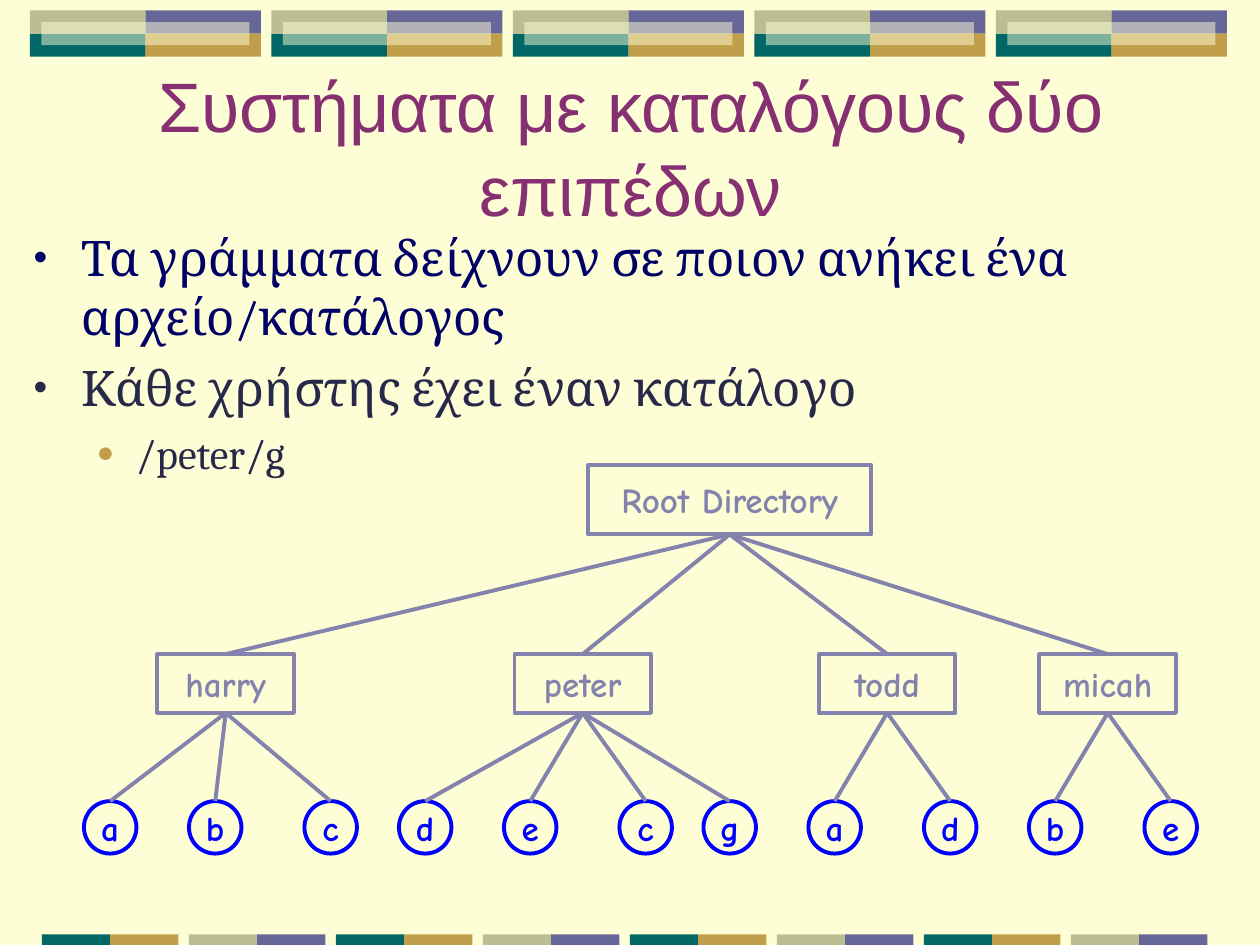
from dataclasses import dataclass

from lxml.etree import SubElement
from pptx import Presentation
from pptx.dml.color import RGBColor
from pptx.enum.shapes import MSO_CONNECTOR as Connector, MSO_SHAPE as Shape
from pptx.enum.text import MSO_ANCHOR as Anchor, MSO_AUTO_SIZE as AutoSize, PP_ALIGN as Align
from pptx.oxml.ns import qn
from pptx.util import Inches, Pt


@dataclass(frozen=True)
class Theme:
    """Colours, fonts and type sizes of the slide."""
    paper: str = "FEFED6"
    violet: str = "666699"
    gold: str = "C09E4A"
    teal: str = "006666"
    olive: str = "BABE90"
    title: str = "863072"
    navy: str = "000066"
    ink: str = "28294A"
    directory: str = "8383AD"
    file: str = "0000FF"
    title_font: str = "Arial"
    body_font: str = "Cambria"
    tree_font: str = "Comic Neue"
    title_size: int = 40
    body_size: int = 28
    detail_size: int = 24
    tree_size: int = 20
    stroke: float = 2.25


THEME = Theme()
COLUMNS_PER_INCH = 12
BULLETS = (
    dict(text="Τα γράμματα δείχνουν σε ποιον ανήκει ένα αρχείο/κατάλογος", level=0, before=0,
         size=THEME.body_size, color=THEME.navy, mark="•", mark_color=THEME.navy, scale=80),
    dict(text="Κάθε χρήστης έχει έναν κατάλογο", level=0, before=7,
         size=THEME.body_size, color=THEME.ink, mark="•", mark_color=THEME.ink, scale=80),
    dict(text="/peter/g", level=1, before=6,
         size=THEME.detail_size, color=THEME.ink, mark="●", mark_color=THEME.gold, scale=70),
)
INDENTS = ((0.38, -0.38), (0.81, -0.31))
USERS = (
    ("harry", 15, (("a", 8), ("b", 18), ("c", 29))),
    ("peter", 49, (("d", 38), ("e", 48), ("c", 59), ("g", 67))),
    ("todd", 78, (("a", 77), ("d", 88))),
    ("micah", 99, (("b", 98), ("e", 109))),
)


def grid(*cells):
    """Turn grid columns and rows into slide lengths."""
    return [Inches(cell / COLUMNS_PER_INCH) for cell in cells]


def set_values(target, **values):
    """Set each named attribute on the target."""
    for name, value in values.items():
        setattr(target, name, value)


def add_run(paragraph, text, font, size, color, bold=False):
    """Add a formatted run to a paragraph."""
    run = paragraph.add_run()
    run.text = text
    set_values(run.font, name=font, size=Pt(size), bold=bold)
    run.font.color.rgb = RGBColor.from_string(color)


def place(shape, *cells):
    """Move a placeholder to a place on the grid."""
    set_values(shape, **dict(zip(("left", "top", "width", "height"), grid(*cells))))


def add_tile(slide, color, *cells, opacity=None):
    """Add a plain coloured rectangle, optionally see-through."""
    tile = slide.shapes.add_shape(Shape.RECTANGLE, *grid(*cells))
    tile.shadow.inherit = False
    tile.line.fill.background()
    tile.fill.solid()
    tile.fill.fore_color.rgb = RGBColor.from_string(color)
    if opacity is not None:
        color_element = tile.fill._xPr.find(qn("a:solidFill"))[0]
        SubElement(color_element, qn("a:alpha"), val=str(opacity * 1000))


def add_bands(slide):
    """Add the tiled bands along the top and bottom edges."""
    for block in range(5):
        left = 2.85 + 23 * block
        for column, row, color in ((1, 0, THEME.violet), (1, 1, THEME.gold),
                                   (0, 1, THEME.teal), (0, 0, THEME.olive)):
            add_tile(slide, color, left + 11 * column, 1 + 2.2 * row, 11, 2.2)
        add_tile(slide, THEME.paper, left + 1.1, 2.1, 19.8, 2.2, opacity=50)
    pairs = ((THEME.teal, THEME.gold), (THEME.olive, THEME.violet))
    for block in range(8):
        for column, color in enumerate(pairs[block % 2]):
            add_tile(slide, color, 4 + 14 * block + 6.5 * column, 89, 6.5, 1)


def add_title(slide, text):
    """Fill the title placeholder."""
    title = slide.shapes.title
    place(title, 2.8, 6.5, 114.5, 15)
    set_values(title.text_frame, word_wrap=True, auto_size=AutoSize.NONE,
               vertical_anchor=Anchor.MIDDLE)
    paragraph = title.text_frame.paragraphs[0]
    paragraph.alignment = Align.CENTER
    add_run(paragraph, text, THEME.title_font, THEME.title_size, THEME.title)


def add_bullet(paragraph, item):
    """Format one list paragraph with its bullet and text."""
    set_values(paragraph, level=item["level"], space_before=Pt(item["before"]))
    properties = paragraph._p.get_or_add_pPr()
    for name, inches in zip(("marL", "indent"), INDENTS[item["level"]]):
        properties.set(name, str(Inches(inches)))
    mark_color = SubElement(properties, qn("a:buClr"))
    SubElement(mark_color, qn("a:srgbClr"), val=item["mark_color"])
    SubElement(properties, qn("a:buSzPct"), val=str(item["scale"] * 1000))
    SubElement(properties, qn("a:buFont"), typeface=THEME.title_font)
    SubElement(properties, qn("a:buChar"), char=item["mark"])
    add_run(paragraph, item["text"], THEME.body_font, item["size"], item["color"])


def add_body(slide, items):
    """Fill the body placeholder with the bulleted list."""
    body = slide.placeholders[1]
    place(body, 2, 21.1, 125.4, 54)
    frame = body.text_frame
    set_values(frame, word_wrap=True, auto_size=AutoSize.NONE, vertical_anchor=Anchor.TOP)
    for index, item in enumerate(items):
        add_bullet(frame.add_paragraph() if index else frame.paragraphs[0], item)


def add_node(slide, kind, text, color, *cells):
    """Add an outlined, labelled node of the tree."""
    node = slide.shapes.add_shape(kind, *grid(*cells))
    node.shadow.inherit = False
    node.fill.background()
    node.line.color.rgb = RGBColor.from_string(color)
    node.line.width = Pt(THEME.stroke)
    set_values(node.text_frame, word_wrap=False, vertical_anchor=Anchor.MIDDLE)
    paragraph = node.text_frame.paragraphs[0]
    paragraph.alignment = Align.CENTER
    add_run(paragraph, text, THEME.tree_font, THEME.tree_size, color, bold=True)
    return node


def add_branch(slide, parent, child):
    """Join the bottom of a parent to the top of a child."""
    branch = slide.shapes.add_connector(Connector.STRAIGHT, 0, 0, 0, 0)
    branch.begin_connect(parent, 2)
    branch.end_connect(child, 0)
    branch.line.color.rgb = RGBColor.from_string(THEME.directory)
    branch.line.width = Pt(THEME.stroke)
    SubElement(branch._element.spPr, qn("a:effectLst"))


def add_tree(slide):
    """Add the root, the user directories and their files."""
    root = add_node(slide, Shape.RECTANGLE, "Root Directory", THEME.directory, 56, 44.3, 27, 6.6)
    for user, user_column, files in USERS:
        directory = add_node(slide, Shape.RECTANGLE, user, THEME.directory,
                             user_column, 62.3, 13, 5.6)
        add_branch(slide, root, directory)
        for name, column in files:
            file = add_node(slide, Shape.OVAL, name, THEME.file, column, 76.3, 5, 5)
            add_branch(slide, directory, file)


def main():
    """Build and save the slide."""
    presentation = Presentation()
    set_values(presentation, slide_width=Inches(10), slide_height=Inches(7.5))
    slide = presentation.slides.add_slide(presentation.slide_layouts[1])
    slide.background.fill.solid()
    slide.background.fill.fore_color.rgb = RGBColor.from_string(THEME.paper)
    add_bands(slide)
    add_title(slide, "Συστήματα με καταλόγους δύο επιπέδων")
    add_body(slide, BULLETS)
    add_tree(slide)
    presentation.save("out.pptx")


if __name__ == "__main__":
    main()
